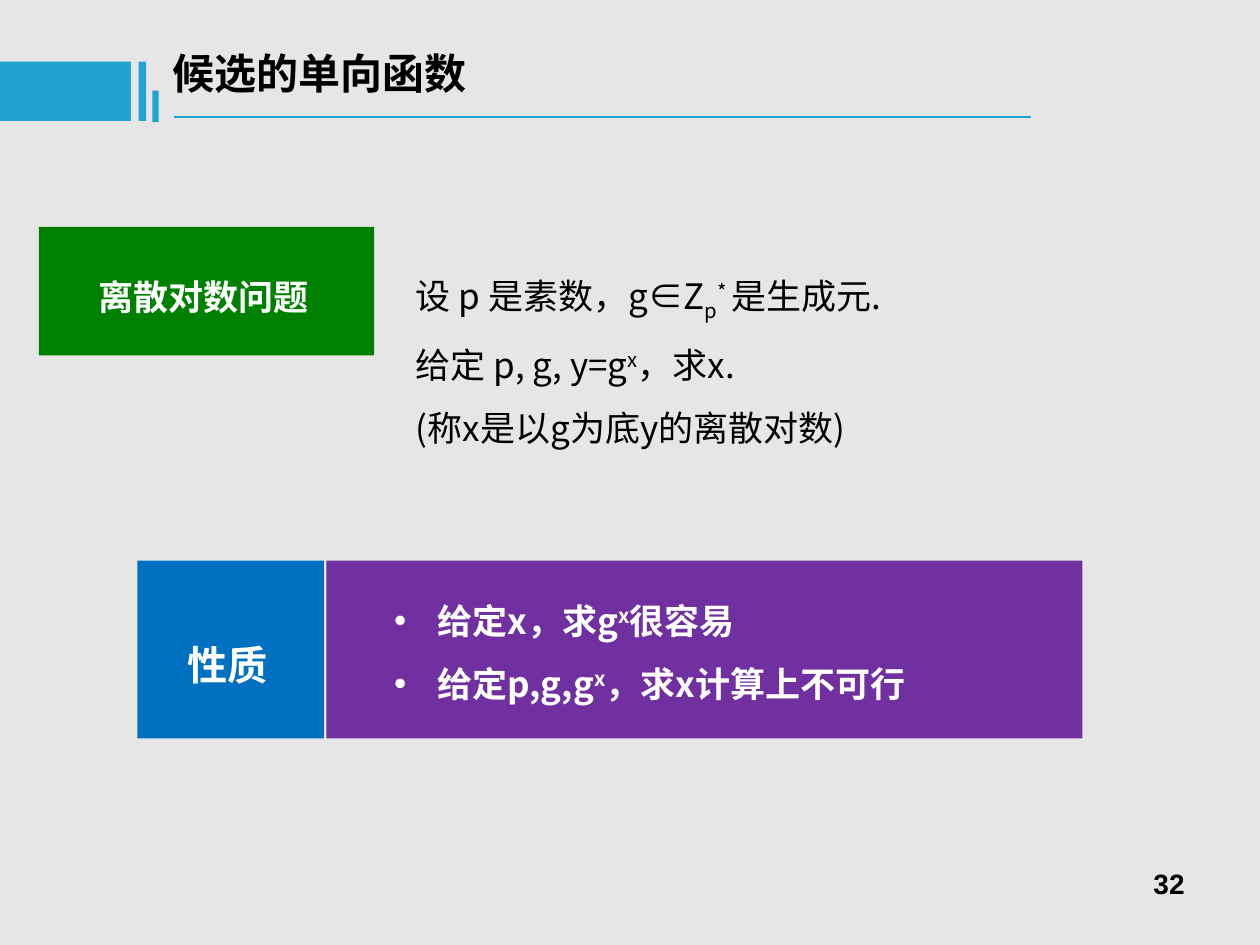
from lxml import etree
from pptx import Presentation
from pptx import util as u
from pptx.dml.color import RGBColor
from pptx.enum import shapes, text
from pptx.oxml.ns import qn

PX = 9144  # EMU per px, 100 px to the inch
COLORS = {"bg": "E7E6E6", "accent": "21A3D0", "green": "008000", "purple": "7030A0",
          "blue": "0070C0", "white": "FFFFFF", "black": "000000"}
CJK = "Noto Sans CJK SC"


def add_block(left, top, width, height, color):
    block = slide.shapes.add_shape(shapes.MSO_SHAPE.RECTANGLE,
                                   *(n * PX for n in (left, top, width, height)))
    block.shadow.inherit = False
    block.fill.solid()
    block.fill.fore_color.rgb = RGBColor.from_string(COLORS[color])
    block.line.fill.background()


def write(shape, box, lines, size, color="black", bold=True, spacing=1.0, font=CJK,
          bullet=None, align=text.PP_ALIGN.LEFT):
    """Place a shape and fill it; each line is a list of (text, baseline) runs."""
    for side, n in zip(("left", "top", "width", "height"), box):
        setattr(shape, side, n * PX)
    frame = shape.text_frame
    frame.word_wrap = True
    frame.auto_size = text.MSO_AUTO_SIZE.NONE
    frame.vertical_anchor = text.MSO_ANCHOR.TOP
    for i, line in enumerate(lines):
        p = frame.add_paragraph() if i else frame.paragraphs[0]
        p.alignment, p.line_spacing, p.space_before = align, spacing, u.Pt(0)
        props = p._p.get_or_add_pPr()
        props.set("marL", "0")
        props.set("indent", "0")
        if bullet:
            props.set("marL", str(28 * PX))
            props.set("indent", str(-28 * PX))
            etree.SubElement(props, qn("a:buFont"), typeface="Arial")
            etree.SubElement(props, qn("a:buChar"), char=bullet)
        else:
            etree.SubElement(props, qn("a:buNone"))
        for words, baseline in line:
            run = p.add_run()
            run.text = words
            for name, value in {"size": u.Pt(size), "bold": bold, "name": font}.items():
                setattr(run.font, name, value)
            run.font.color.rgb = RGBColor.from_string(COLORS[color])
            run_props = run._r.get_or_add_rPr()
            etree.SubElement(run_props, qn("a:ea"), typeface=font)
            if baseline:
                run_props.set("baseline", str(baseline * 1000))


prs = Presentation()
prs.slide_width, prs.slide_height = 1000 * PX, 750 * PX
slide = prs.slides.add_slide(prs.slide_layouts[1])
slide.background.fill.solid()
slide.background.fill.fore_color.rgb = RGBColor.from_string(COLORS["bg"])

# Title with its bars and rule
write(slide.shapes.title, (127, 33, 570, 50), [[("候选的单向函数", 0)]], 24)
for bar in ((0, 49, 104, 47), (110, 49, 6, 47), (121, 72, 5, 25)):
    add_block(*bar, "accent")
rule = slide.shapes.add_connector(shapes.MSO_CONNECTOR.STRAIGHT,
                                  138 * PX, 93 * PX, 818 * PX, 93 * PX)
rule.line.color.rgb = RGBColor.from_string(COLORS["accent"])
rule.line.width = u.Pt(1.5)
etree.SubElement(rule._element.spPr, qn("a:effectLst"))

# Definition of the problem
definition = [
    [("设 p 是素数，g∈Z", 0), ("p", -25), ("* ", 30), ("是生成元.", 0)],
    [("给定 p, g, y=g", 0), ("x", 30), ("，求x.", 0)],
    [("(称x是以g为底y的离散对数)", 0)],
]
write(slide.placeholders[1], (320, 194, 656, 181), definition, 20, bold=False, spacing=1.5)

# Coloured panels
for panel in ((31, 180, 266, 102, "green"), (259, 445, 600, 141, "purple"),
              (109, 445, 148, 141, "blue")):
    add_block(*panel)

# Panel texts and page number
properties = [
    [(" 给定x，求g", 0), ("x", 30), ("很容易", 0)],
    [(" 给定p,g,g", 0), ("x", 30), ("，求x计算上不可行", 0)],
]
on_panel = {"color": "white", "spacing": 1.5}
for box, lines, size, style in (
    ((68, 197, 195, 60), [[("离散对数问题", 0)]], 20, on_panel),
    ((303, 454, 486, 110), properties, 20, {**on_panel, "bullet": "•"}),
    ((139, 484, 102, 68), [[("性质", 0)]], 23, on_panel),
    ((717, 683, 233, 52), [[("32", 0)]], 16,
     {"font": "Arial", "align": text.PP_ALIGN.RIGHT}),
):
    write(slide.shapes.add_textbox(0, 0, 0, 0), box, lines, size, **style)

prs.save("out.pptx")
